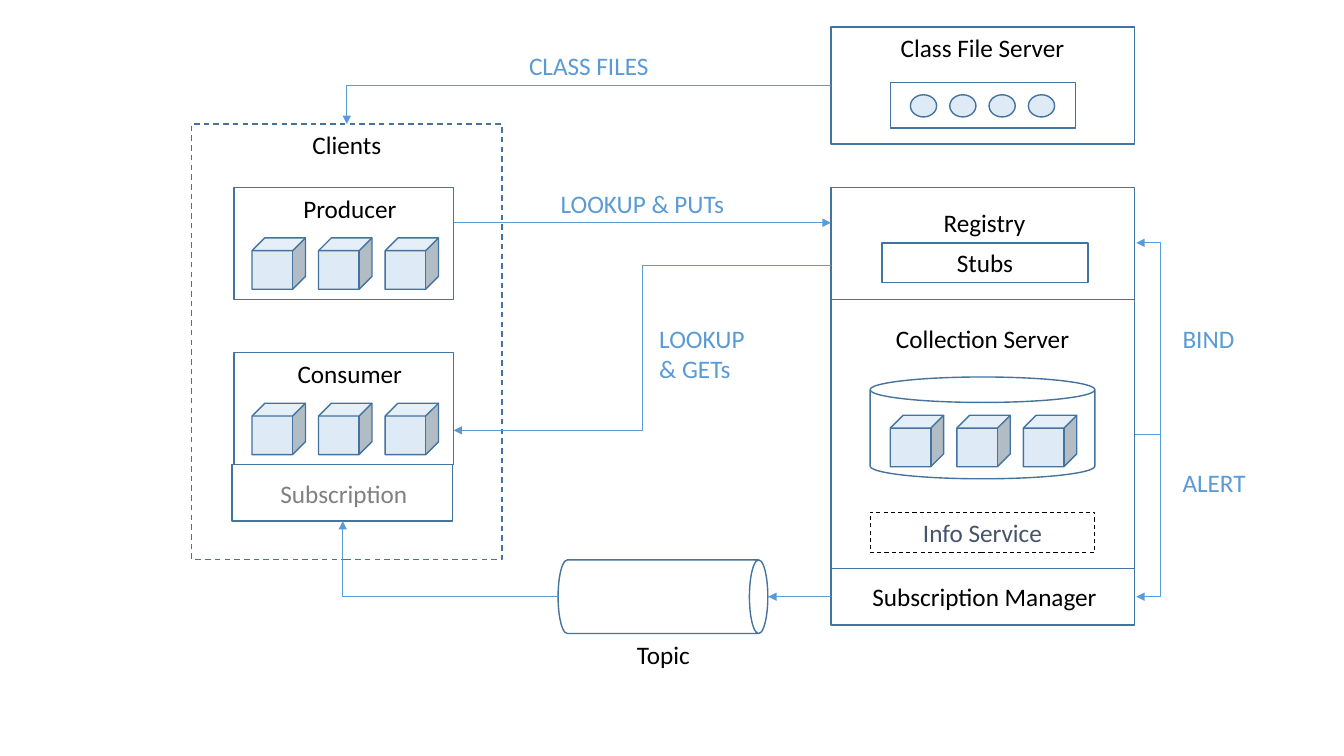
import pptx
import pptx.util
import pptx.dml.color
import pptx.enum.dml
import pptx.enum.shapes
import pptx.enum.text
import pptx.oxml
import pptx.oxml.ns

Inches, Pt = pptx.util.Inches, pptx.util.Pt
SHAPE = pptx.enum.shapes.MSO_SHAPE
LINK = pptx.enum.shapes.MSO_CONNECTOR
ALIGN = pptx.enum.text.PP_ALIGN
ANCHOR = pptx.enum.text.MSO_ANCHOR
DASH = pptx.enum.dml.MSO_LINE.DASH

THEME = {
    "font": "Calibri", "size": 18,
    "ink": "000000", "outline": "43739E", "flow": "5B9BD5",
    "item": "DEEBF7", "muted": "808080", "service": "44546A",
    "outline_width": 1, "service_width": 0.75, "flow_width": 0.5,
}

SLIDE = (13.33, 7.5)
CLIENT, SERVER, STORE, CALLOUT = 2.32, 8.24, 8.63, 11.63
CLIENT_W, SERVER_W, STORE_W = 2.18, 3.01, 2.23
SERVER_END, BUS = 11.26, 11.51
PRODUCER, COLLECTION, CONSUMER, ALERTS = 1.86, 2.97, 3.5, 4.31
SUBSCRIPTION, MANAGER, TOPIC = 4.61, 5.64, 5.92
PANEL_H, STRIP_H, LABEL_H = 1.11, 0.56, 0.4

PANELS = {
    "collection": (SERVER, COLLECTION, SERVER_W, MANAGER - COLLECTION),
    "registry": (SERVER, PRODUCER, SERVER_W, PANEL_H),
    "producer": (CLIENT, PRODUCER, CLIENT_W, PANEL_H),
    "consumer": (CLIENT, CONSUMER, CLIENT_W, PANEL_H),
    "manager": (SERVER, MANAGER, SERVER_W, STRIP_H),
    "subscription": (2.3, SUBSCRIPTION, 2.19, STRIP_H),
    "clients": (1.9, 1.23, 3.08, 4.32),
    "class_files": (SERVER, 0.27, SERVER_W, 1.16),
    "class_list": (8.83, 0.82, 1.84, 0.45),
    "stubs": (8.75, 2.41, 2.04, 0.39),
    "info": (STORE, 5.08, STORE_W, LABEL_H),
}
PANEL_TEXT = {"stubs": ("Stubs", "ink"), "info": ("Info Service", "service")}

CUBE = (SHAPE.CUBE, 3, 0.66, 0.53, 0.51)
CLASS = (SHAPE.OVAL, 4, 0.39, 0.26, 0.22)
ITEMS = [
    (8.83, 4.12, CUBE),
    (2.5, PRODUCER + 0.5, CUBE),
    (2.5, CONSUMER + 0.5, CUBE),
    (9.03, 0.94, CLASS),
]

LABELS = [
    ("Collection Server", SERVER, 3.16, SERVER_W, "ink", ALIGN.CENTER),
    ("Registry", 8.4, 2.01, 2.73, "ink", ALIGN.CENTER),
    ("Producer", 2.79, 1.87, 1.36, "ink", ALIGN.CENTER),
    ("Consumer", 2.79, 3.51, 1.36, "ink", ALIGN.CENTER),
    ("Subscription Manager", 8.26, 5.72, SERVER_W, "ink", ALIGN.CENTER),
    ("Subscription", CLIENT, 4.7, CLIENT_W, "muted", ALIGN.CENTER),
    ("Topic", 5.54, 6.29, 2.08, "ink", ALIGN.CENTER),
    ("Clients", 1.9, 1.23, 3.08, "ink", ALIGN.CENTER),
    ("Class File Server", SERVER, 0.27, SERVER_W, "ink", ALIGN.CENTER),
    ("CLASS FILES", 4.88, 0.45, 1.92, "flow", ALIGN.CENTER),
    ("LOOKUP & PUTs", 5.41, 1.82, 1.92, "flow", ALIGN.CENTER),
    ("LOOKUP & GETs", 6.44, 3.16, 1.14, "flow", ALIGN.LEFT),
    ("BIND", CALLOUT, 3.16, 1.09, "flow", ALIGN.LEFT),
    ("ALERT", CALLOUT, 4.59, 1.09, "flow", ALIGN.LEFT),
]

BUS_TIP = SERVER_END + 0.01
BUS_BEND = (BUS - SERVER_END) / (BUS_TIP - SERVER_END)
FLOWS = [
    ("line", (4.5, 2.21), (SERVER, 2.21), None),
    ("bentConnector3", (SERVER, 2.63), (4.5, 4.27), 0.5),
    ("bentConnector3", (SERVER_END, ALERTS), (BUS_TIP, 2.41), BUS_BEND),
    ("bentConnector3", (SERVER_END, ALERTS), (BUS_TIP, TOPIC), BUS_BEND),
    ("line", (SERVER, TOPIC), (7.62, TOPIC), None),
    ("bentConnector2", (5.54, TOPIC), (3.4, SUBSCRIPTION + STRIP_H), None),
    ("bentConnector2", (SERVER, 0.85), (3.44, 1.23), None),
]


def rgb(role):
    return pptx.dml.color.RGBColor.from_string(THEME[role])


def apply(target, values):
    for name, value in values.items():
        setattr(target, name, value)


def write(shape, text, role, align):
    frame = shape.text_frame
    frame.word_wrap = True
    paragraph = frame.paragraphs[0]
    paragraph.text = text
    paragraph.alignment = align
    apply(paragraph.font, {"name": THEME["font"], "size": Pt(THEME["size"])})
    paragraph.font.color.rgb = rgb(role)


def outline(shape, role="outline", width="outline_width", fill=None):
    shape.shadow.inherit = False
    if fill:
        shape.fill.solid()
        shape.fill.fore_color.rgb = rgb(fill)
    else:
        shape.fill.background()
    shape.line.color.rgb = rgb(role)
    shape.line.width = Pt(THEME[width])


def place(shapes, kind, frame, **style):
    shape = shapes.add_shape(kind, *map(Inches, frame))
    outline(shape, **style)
    return shape


def draw_flow(shapes, route, start, end, bend):
    kind = LINK.STRAIGHT if route == "line" else LINK.ELBOW
    flow = shapes.add_connector(kind, *map(Inches, start + end))
    flow.line.color.rgb = rgb("flow")
    flow.line.width = Pt(THEME["flow_width"])
    properties = flow._element.spPr
    geometry = properties.find(pptx.oxml.ns.qn("a:prstGeom"))
    geometry.set("prst", route)
    if bend is not None:
        guides = geometry.get_or_add_avLst()
        guide = pptx.oxml.parse_xml(f'<a:gd {pptx.oxml.ns.nsdecls("a")} name="adj1"/>')
        guide.set("fmla", f"val {round(bend * 100000)}")
        guides.append(guide)
    for parent, tag in (
        (flow.line._get_or_add_ln(), '<a:tailEnd {} type="triangle"/>'),
        (properties, "<a:effectLst {}/>"),
    ):
        parent.append(pptx.oxml.parse_xml(tag.format(pptx.oxml.ns.nsdecls("a"))))
    return flow


def main():
    deck = pptx.Presentation()
    apply(deck, dict(zip(("slide_width", "slide_height"), map(Inches, SLIDE))))
    shapes = deck.slides.add_slide(deck.slide_layouts[6]).shapes

    panels = {}
    for name, frame in PANELS.items():
        style = {"role": "ink", "width": "service_width"} if name == "info" else {}
        panels[name] = place(shapes, SHAPE.RECTANGLE, frame, **style)
        if name in ("clients", "info"):
            panels[name].line.dash_style = DASH
        if name in PANEL_TEXT:
            write(panels[name], *PANEL_TEXT[name], ALIGN.CENTER)
            panels[name].text_frame.vertical_anchor = ANCHOR.MIDDLE

    place(shapes, SHAPE.CAN, (STORE, 3.74, STORE_W, 1.01))
    place(shapes, SHAPE.CAN, (6.21, 4.88, 0.73, 2.08)).rotation = 90

    for left, top, (kind, count, step, width, height) in ITEMS:
        group = shapes.add_group_shape().shapes
        for index in range(count):
            place(group, kind, (left + index * step, top, width, height), fill="item")

    for text, left, top, width, role, align in LABELS:
        label = shapes.add_textbox(*map(Inches, (left, top, width, LABEL_H)))
        write(label, text, role, align)
        if text == "LOOKUP & GETs":
            label.height = Inches(0.71)

    for route, start, end, bend in FLOWS:
        flow = draw_flow(shapes, route, start, end, bend)
        if route == "line" and start == (SERVER, TOPIC):
            flow.begin_connect(panels["manager"], 1)

    deck.save("out.pptx")


if __name__ == "__main__":
    main()
